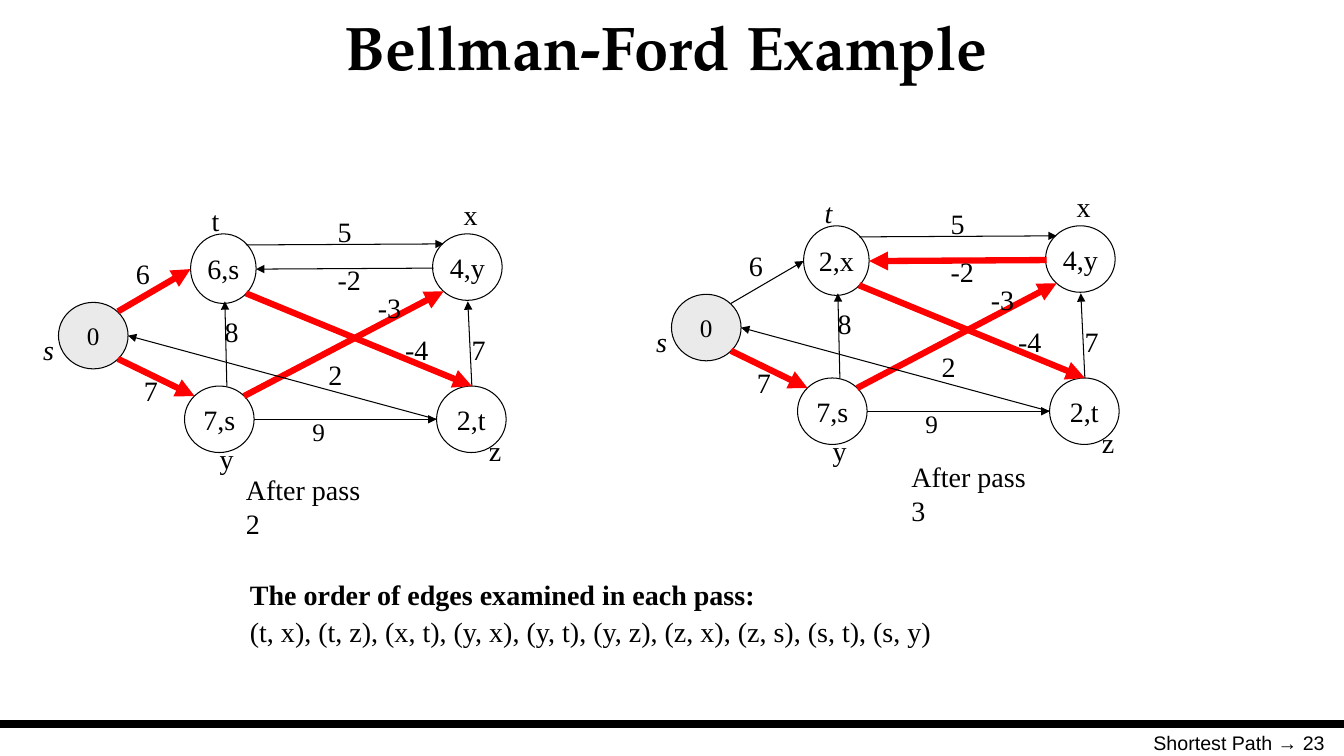
from lxml import etree
from pptx import Presentation
from pptx.dml.color import RGBColor
from pptx.enum.shapes import MSO_CONNECTOR, MSO_SHAPE
from pptx.enum.text import MSO_ANCHOR, PP_ALIGN
from pptx.oxml.ns import qn
from pptx.util import Inches, Pt

COLORS = {"ink": "000000", "path": "FF0000", "node": "FFFFFF", "source": "EAEAEA"}
SERIF = "Times New Roman"

# Graph geometry in inches, measured from the top left corner of a graph.
NODES = {
    "t": (1.56, 0.41, 0.65, 0.69),
    "y": (1.5, 1.92, 0.69, 0.66),
    "x": (3.96, 0.41, 0.69, 0.66),
    "s": (0.25, 1.09, 0.69, 0.66),
    "z": (4, 1.92, 0.69, 0.66),
}
NAMES = {
    "s": (0, 1.34, 0.31),
    "y": (1.75, 2.42, 0.34),
    "z": (4.42, 2.34, 0.32),
    "x": (4.17, 0, 0.31),
    "t": (1.67, 0.06, 0.27),
}
# edge: (start, end, weight, weight position)
EDGES = {
    "tx": ((2.11, 0.52), (4.07, 0.51), "5", (2.92, 0.17)),
    "yz": ((2.19, 2.25), (4, 2.25), "9", (2.67, 2.17)),
    "yx": ((2.09, 2.02), (4.07, 0.98), "-3", (3.32, 0.92)),
    "st": ((0.84, 1.18), (1.56, 0.76), "6", (0.92, 0.59)),
    "sy": ((0.84, 1.65), (1.6, 2.02), "7", (1, 1.75)),
    "zx": ((4.35, 1.92), (4.31, 1.08), "7", (4.25, 1.34)),
    "tz": ((2.11, 1), (4.35, 1.92), "-4", (3.59, 1.34)),
    "zs": ((4, 2.25), (0.94, 1.42), "2", (2.83, 1.59)),
    "xt": ((3.97, 0.75), (2.21, 0.76), "-2", (2.92, 0.65)),
    "yt": ((1.92, 1.92), (1.9, 1.08), "8", (1.8, 1.16)),
}


def rgb(name):
    return RGBColor.from_string(COLORS[name])


def set_text(sp, text, size=20, font=SERIF, align=PP_ALIGN.LEFT, bold=False, italic=False):
    tf = sp.text_frame
    tf.text = text
    p = tf.paragraphs[0]
    p.alignment = align
    for r in p.runs:
        r.font.name, r.font.size = font, Pt(size)
        r.font.bold, r.font.italic = bold, italic
        r.font.color.rgb = rgb("ink")
    return p


def add_text(s, box, text, wrap=False, **style):
    sp = s.shapes.add_textbox(*map(Inches, box))
    sp.text_frame.word_wrap = wrap
    return set_text(sp, text, **style)


def add_line(s, start, end, color="ink", width=0.75, arrow=False):
    line = s.shapes.add_connector(MSO_CONNECTOR.STRAIGHT, *map(Inches, (*start, *end)))
    line.line.color.rgb = rgb(color)
    line.line.width = Pt(width)
    if arrow:
        etree.SubElement(line.line._get_or_add_ln(), qn("a:tailEnd"), type="triangle")
    etree.SubElement(line._element.spPr, qn("a:effectLst"))


def add_node(s, box, value, is_source):
    sp = s.shapes.add_shape(MSO_SHAPE.OVAL, *map(Inches, box))
    sp.shadow.inherit = False
    sp.fill.solid()
    sp.fill.fore_color.rgb = rgb("source" if is_source else "node")
    sp.line.color.rgb = rgb("ink")
    sp.line.width = Pt(0.75)
    sp.text_frame.word_wrap = False
    sp.text_frame.vertical_anchor = MSO_ANCHOR.MIDDLE
    set_text(sp, value, size=18 if is_source else 20, align=PP_ALIGN.CENTER)


def add_graph(s, left, top, values, path_edges, italic_names):
    """Draw one pass, with the predecessor edges in bold red."""
    def place(point):
        return left + point[0], top + point[1]

    for name, (x, y, w, h) in NODES.items():
        add_node(s, (*place((x, y)), w, h), values[name], name == "s")
    for edge, (start, end, weight, spot) in EDGES.items():
        color, width = ("path", 4.5) if edge in path_edges else ("ink", 0.75)
        add_line(s, place(start), place(end), color, width, arrow=True)
        size, height = (18, 0.4) if weight == "9" else (20, 0.44)
        label_width = 0.43 if len(weight) > 1 else 0.34
        add_text(s, (*place(spot), label_width, height), weight, size=size)
    for name, (x, y, w) in NAMES.items():
        add_text(s, (*place((x, y)), w, 0.44), name, italic=name in italic_names)


def add_title(s, text):
    title = s.shapes.title
    title.left, title.top, title.width, title.height = map(Inches, (1.66, 0, 9.9, 0.9))
    title.text_frame.vertical_anchor = MSO_ANCHOR.MIDDLE
    set_text(title, text, size=44, font="TeX Gyre Pagella", align=PP_ALIGN.CENTER, bold=True)


def add_edge_order(s, box):
    p = add_text(
        s, box,
        "The order of edges examined in each pass:\v"
        "(t, x), (t, z), (x, t), (y, x), (y, t), (y, z), (z, x), (z, s), (s, t), (s, y)",
        wrap=True,
    )
    p.line_spacing = 1.1
    p.runs[0].font.bold = True


def add_footer(s, top):
    add_line(s, (0, top), (13.33, top), width=6)
    add_text(s, (9.58, top + 0.02, 3.66, 0.52), "Shortest Path → 23", wrap=True,
             size=14, font="Arial", align=PP_ALIGN.RIGHT)


def main():
    prs = Presentation()
    prs.slide_width, prs.slide_height = Inches(13.33), Inches(7.5)
    s = prs.slides.add_slide(prs.slide_layouts[5])
    add_title(s, "Bellman-Ford Example")
    add_graph(s, 0.33, 1.91,
              {"s": "0", "t": "6,s", "x": "4,y", "y": "7,s", "z": "2,t"},
              {"st", "sy", "tz", "yx"}, "s")
    add_text(s, (2.34, 4.64, 1.54, 0.44), "After pass 2")
    add_graph(s, 6.41, 1.83,
              {"s": "0", "t": "2,x", "x": "4,y", "y": "7,s", "z": "2,t"},
              {"xt", "sy", "tz", "yx"}, "st")
    add_text(s, (8.94, 4.51, 1.54, 0.44), "After pass 3")
    add_edge_order(s, (2.38, 5.65, 7.75, 0.84))
    add_footer(s, 7.18)
    prs.save("out.pptx")


if __name__ == "__main__":
    main()
